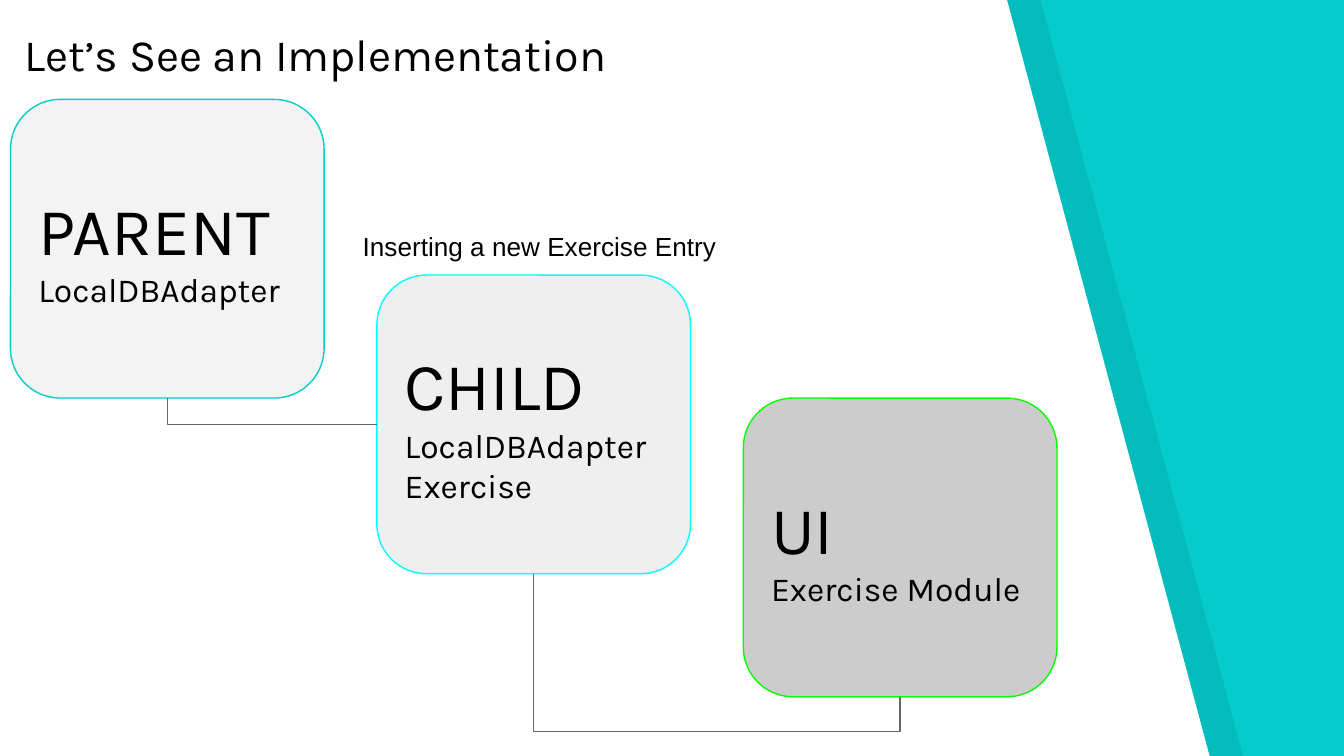
from lxml import etree
from pptx import Presentation
from pptx.dml.color import RGBColor
from pptx.enum.shapes import MSO_CONNECTOR, MSO_SHAPE
from pptx.enum.text import MSO_ANCHOR, MSO_AUTO_SIZE, PP_ALIGN
from pptx.oxml.ns import qn
from pptx.util import Pt

ELBOW = MSO_CONNECTOR.ELBOW
ROUNDED = MSO_SHAPE.ROUNDED_RECTANGLE
TOP, MIDDLE = MSO_ANCHOR.TOP, MSO_ANCHOR.MIDDLE
NO_FIT = MSO_AUTO_SIZE.NONE
LEFT_ALIGN = PP_ALIGN.LEFT
LEFT_SITE, BOTTOM_SITE = 1, 2

WIDTH, HEIGHT = 720, 405
COLORS = {
    "teal": "05CBCB", "black": "000000", "white": "FFFFFF", "grey": "666666",
    "parent": "F3F3F3", "child": "EFEFEF", "ui": "CCCCCC",
    "cyan": "00FFFF", "green": "00FF00",
}


def color(name):
    return RGBColor.from_string(COLORS[name])


def write(shape, lines, sizes, font_name, anchor):
    """Fill a shape with one paragraph per line, each in its own size."""
    frame = shape.text_frame
    frame.text = "\n".join(lines)
    frame.word_wrap = True
    frame.auto_size = NO_FIT
    frame.vertical_anchor = anchor
    frame.margin_left = frame.margin_right = Pt(7.2)
    frame.margin_top = frame.margin_bottom = Pt(7.2)
    for paragraph, size in zip(frame.paragraphs, sizes):
        paragraph.alignment = LEFT_ALIGN
        font = paragraph.runs[0].font
        font.name, font.size = font_name, Pt(size)
        font.color.rgb = color("black")


presentation = Presentation()
presentation.slide_width, presentation.slide_height = Pt(WIDTH), Pt(HEIGHT)
slide = presentation.slides.add_slide(presentation.slide_layouts[5])
shapes = slide.shapes

# Teal background with a slanted white panel and its shaded edge
slide.background.fill.solid()
slide.background.fill.fore_color.rgb = color("teal")
for offset, fill, opacity in [(18, "black", 7), (0, "white", 100)]:
    builder = shapes.build_freeform(Pt(offset), Pt(0))
    corners = [(0, HEIGHT), (648, HEIGHT), (539.5, 0)]
    builder.add_line_segments([(Pt(x + offset), Pt(y)) for x, y in corners])
    panel = builder.convert_to_shape()
    panel.shadow.inherit = False
    panel.line.fill.background()
    panel.fill.solid()
    panel.fill.fore_color.rgb = color(fill)
    if opacity < 100:
        fill_color = panel._element.spPr.find(".//" + qn("a:srgbClr"))
        etree.SubElement(fill_color, qn("a:alpha")).set("val", str(opacity * 1000))

# Title, brought in front of the panels
title = shapes.title
shapes._spTree.append(title._element)
title.left, title.top, title.width, title.height = Pt(6), Pt(7.2), Pt(434), Pt(35)
write(title, ["Let’s See an Implementation"], [24], "Karla", TOP)

# Cards stepping down from left to right
cards = []
for column, (top, fill, outline, lines) in enumerate([
    (53.3, "parent", "teal", ["PARENT", "LocalDBAdapter"]),
    (147.4, "child", "cyan", ["CHILD", "LocalDBAdapter", "Exercise"]),
    (213.3, "ui", "green", ["UI", "Exercise Module"]),
]):
    card = shapes.add_shape(ROUNDED, Pt(5.6 + 196.3 * column), Pt(top), Pt(168), Pt(160))
    card.shadow.inherit = False
    card.fill.solid()
    card.fill.fore_color.rgb = color(fill)
    card.line.color.rgb = color(outline)
    card.line.width = Pt(0.75)
    write(card, lines, [36, 18, 18], "Karla", MIDDLE)
    cards.append(card)
parent, child, ui = cards

# Elbow connectors leaving each card downwards: a mirrored box turned by 270 degrees
for start, end, end_site, preset, bend in [
    (parent, child, LEFT_SITE, "bentConnector2", None),
    (child, ui, BOTTOM_SITE, "bentConnector3", 128400),
]:
    connector = shapes.add_connector(ELBOW, 0, 0, 0, 0)
    connector.begin_connect(start, BOTTOM_SITE)
    connector.end_connect(end, end_site)
    connector.line.color.rgb = color("grey")
    connector.line.width = Pt(0.75)
    across, down = connector.width, connector.height
    connector.left += (across - down) // 2
    connector.top += (down - across) // 2
    connector.width, connector.height = down, across
    properties = connector._element.spPr
    properties.xfrm.set("rot", str(270 * 60000))
    properties.xfrm.set("flipH", "1")
    geometry = properties.find(qn("a:prstGeom"))
    geometry.set("prst", preset)
    if bend:
        guide = etree.SubElement(geometry.find(qn("a:avLst")), qn("a:gd"))
        guide.set("name", "adj1")
        guide.set("fmla", f"val {bend}")
    etree.SubElement(properties, qn("a:effectLst"))

# Caption above the child card
caption = shapes.add_textbox(Pt(187.2), Pt(116), Pt(219), Pt(24))
write(caption, ["Inserting a new Exercise Entry"], [14], "Arial", TOP)

presentation.save("out.pptx")
